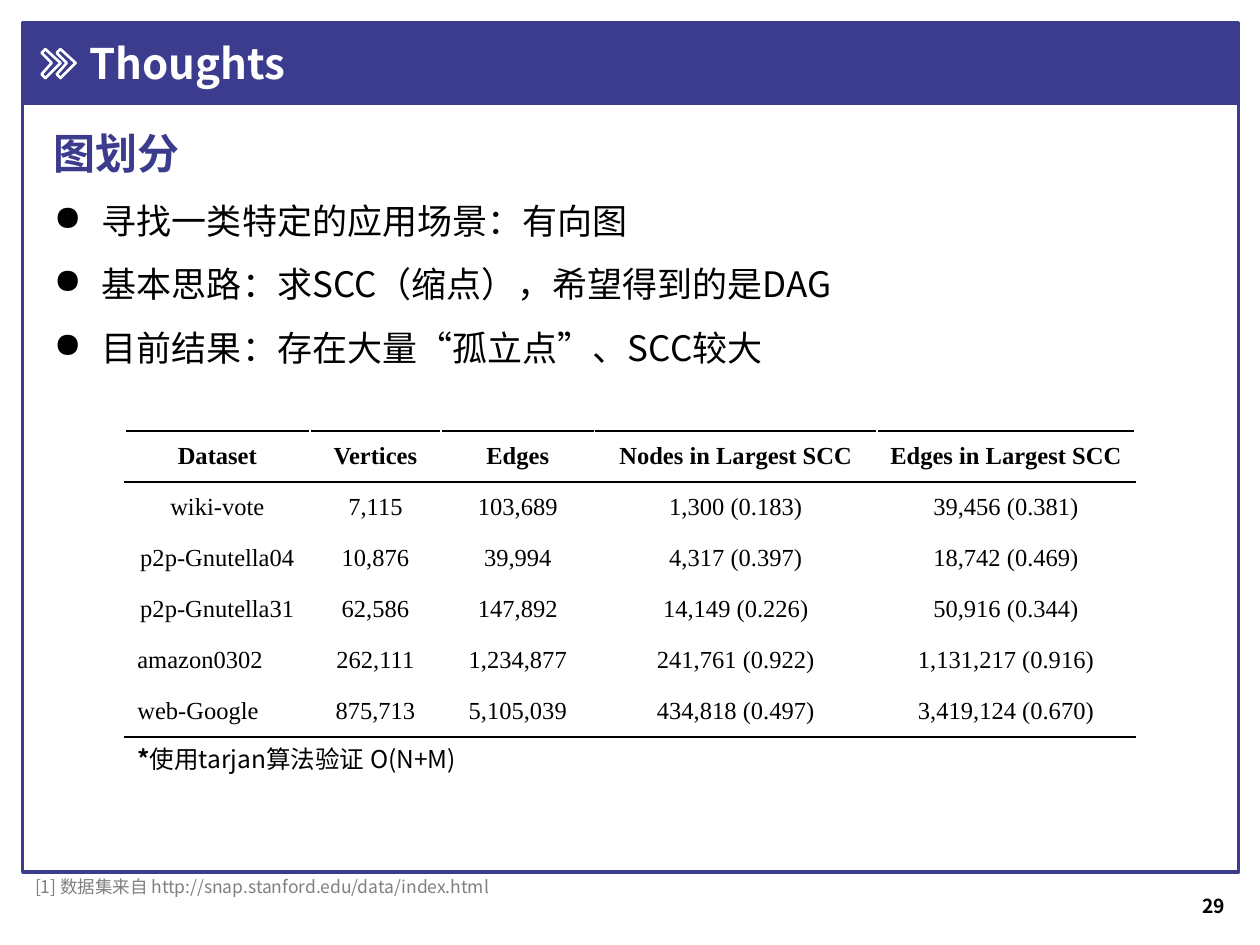
from lxml.etree import SubElement
from pptx import Presentation
from pptx.dml.color import RGBColor
from pptx.enum.shapes import MSO_SHAPE
from pptx.enum.text import MSO_ANCHOR, PP_ALIGN
from pptx.oxml import parse_xml
from pptx.oxml.ns import nsdecls, qn
from pptx.util import Inches, Pt

COLORS = {"indigo": "3C3C8E", "white": "FFFFFF", "black": "000000", "gray": "808080"}
SANS, SERIF = "Noto Sans CJK SC", "Times New Roman"

TITLE = "Thoughts"
HEADING = "图划分"
BULLETS = [
    "寻找一类特定的应用场景：有向图",
    "基本思路：求SCC（缩点），希望得到的是DAG",
    "目前结果：存在大量“孤立点”、SCC较大",
]
HEADER = ["Dataset", "Vertices", "Edges", "Nodes in Largest SCC", "Edges in Largest SCC"]
DATASETS = [
    ["wiki-vote", "7,115", "103,689", "1,300 (0.183)", "39,456 (0.381)"],
    ["p2p-Gnutella04", "10,876", "39,994", "4,317 (0.397)", "18,742 (0.469)"],
    ["p2p-Gnutella31", "62,586", "147,892", "14,149 (0.226)", "50,916 (0.344)"],
    ["amazon0302", "262,111", "1,234,877", "241,761 (0.922)", "1,131,217 (0.916)"],
    ["web-Google", "875,713", "5,105,039", "434,818 (0.497)", "3,419,124 (0.670)"],
]
LEFT_ALIGNED = {"amazon0302", "web-Google"}
COLUMN_WIDTHS = [1.47, 1.04, 1.22, 2.24, 2.05]
ROW_HEIGHT = 0.405
NOTE_MARK, NOTE = "*", "使用tarjan算法验证 O(N+M)"
SOURCE = "[1] 数据集来自 http://snap.stanford.edu/data/index.html"
PAGE_NUMBER = "29"

FRAME_LEFT, FRAME_WIDTH = 0.18, 9.65
CHEVRON = [(0.03, 0), (0, 0.03), (0.08, 0.11), (0, 0.2), (0.03, 0.23), (0.15, 0.11)]
CHEVRON_LEFTS, CHEVRON_TOP = [0.33, 0.45], 0.39


def rgb(name):
    return RGBColor.from_string(COLORS[name])


def box(at):
    return [Inches(value) for value in at]


def style(paragraph, size, color="black", bold=False, face=SANS, align=PP_ALIGN.LEFT):
    paragraph.alignment = align
    font = paragraph.font
    font.size, font.bold, font.name = Pt(size), bold, face
    font.color.rgb = rgb(color)
    defaults = paragraph._p.pPr.find(qn("a:defRPr"))
    SubElement(defaults, qn("a:ea")).set("typeface", face)


def add_text(slide, at, text, size, **look):
    frame = slide.shapes.add_textbox(*box(at)).text_frame
    frame.word_wrap = True
    paragraph = frame.paragraphs[0]
    paragraph.text = text
    style(paragraph, size, **look)
    return frame


def add_panel(slide, top, height, filled):
    panel = slide.shapes.add_shape(MSO_SHAPE.RECTANGLE, *box((FRAME_LEFT, top, FRAME_WIDTH, height)))
    panel.shadow.inherit = False
    if filled:
        panel.fill.solid()
        panel.fill.fore_color.rgb = rgb("indigo")
    else:
        panel.fill.background()
    panel.line.color.rgb = rgb("indigo")
    panel.line.width = Pt(2)


def add_chevron(slide, left):
    points = [(Inches(left + x), Inches(CHEVRON_TOP + y)) for x, y in CHEVRON]
    builder = slide.shapes.build_freeform(*points[0])
    builder.add_line_segments(points[1:], close=True)
    chevron = builder.convert_to_shape()
    chevron.shadow.inherit = False
    chevron.fill.background()
    chevron.line.color.rgb = rgb("white")
    chevron.line.width = Pt(1.5)


def place_title(slide):
    title = slide.shapes.title
    title.left, title.top, title.width, title.height = box((0.61, 0.25, 6.7, 0.5))
    frame = title.text_frame
    frame.text = TITLE
    frame.vertical_anchor = MSO_ANCHOR.MIDDLE
    style(frame.paragraphs[0], 24, "white", True)
    slide.shapes._spTree.append(title._element)


def add_bullets(slide):
    frame = add_text(slide, (0.33, 0.96, 7.65, 2.02), HEADING, 24, color="indigo", bold=True)
    for bullet in BULLETS:
        paragraph = frame.add_paragraph()
        paragraph.text = bullet
        paragraph.line_spacing = 1.2
        paragraph.space_before = Pt(7.5)
        properties = paragraph._p.get_or_add_pPr()
        properties.set("marL", str(Inches(0.38)))
        properties.set("indent", str(Inches(-0.38)))
        SubElement(properties, qn("a:buChar")).set("char", "●")
        style(paragraph, 20)


def add_rule(cell, side, position):
    cell._tc.get_or_add_tcPr().insert(position, parse_xml(
        f'<a:{side} {nsdecls("a")} w="{Pt(1)}"><a:solidFill>'
        f'<a:srgbClr val="{COLORS["black"]}"/></a:solidFill></a:{side}>'))


def add_results(slide):
    rows = [HEADER] + DATASETS
    at = (0.99, 3.42, sum(COLUMN_WIDTHS), ROW_HEIGHT * len(rows))
    table = slide.shapes.add_table(len(rows), len(HEADER), *box(at)).table
    table.first_row = table.horz_banding = False
    for column, width in zip(table.columns, COLUMN_WIDTHS):
        column.width = Inches(width)
    for r, row in enumerate(rows):
        table.rows[r].height = Inches(ROW_HEIGHT)
        for c, value in enumerate(row):
            cell = table.cell(r, c)
            cell.text = value
            cell.vertical_anchor = MSO_ANCHOR.MIDDLE
            cell.fill.background()
            align = PP_ALIGN.LEFT if value in LEFT_ALIGNED else PP_ALIGN.CENTER
            style(cell.text_frame.paragraphs[0], 14, bold=r == 0, face=SERIF, align=align)
            if r in (0, len(rows) - 1):
                add_rule(cell, "lnB", 0)
            if r in (0, 1):
                add_rule(cell, "lnT", 0)


def main():
    deck = Presentation()
    deck.slide_width, deck.slide_height = Inches(10), Inches(7.5)
    slide = deck.slides.add_slide(deck.slide_layouts[5])

    add_panel(slide, 0.82, 6.1, filled=False)
    add_panel(slide, 0.18, 0.64, filled=True)
    add_text(slide, (6.82, 7.05, 3, 0.27), PAGE_NUMBER, 11, bold=True, align=PP_ALIGN.RIGHT)
    place_title(slide)
    for left in CHEVRON_LEFTS:
        add_chevron(slide, left)
    add_bullets(slide)
    add_results(slide)
    note = add_text(slide, (0.99, 5.86, 3.34, 0.34), NOTE_MARK, 14).paragraphs[0]
    note.runs[0].font.bold = True
    note.add_run().text = NOTE
    add_text(slide, (0.18, 6.9, 8.39, 0.27), SOURCE, 10, color="gray")

    deck.save("out.pptx")


if __name__ == "__main__":
    main()
